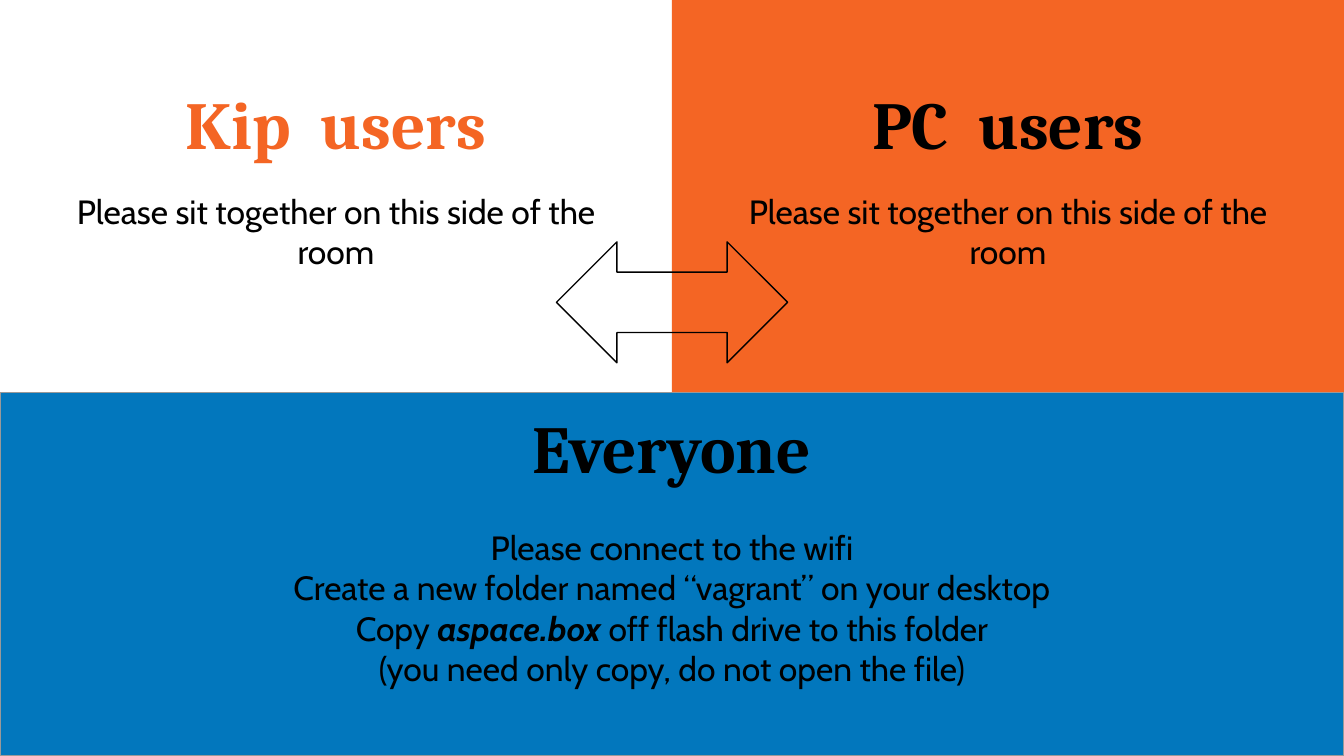
from pptx import Presentation
from pptx.dml.color import RGBColor
from pptx.enum.shapes import MSO_SHAPE
from pptx.enum.text import MSO_ANCHOR, PP_ALIGN
from pptx.util import Inches, Pt

RECT, ARROW = MSO_SHAPE.RECTANGLE, MSO_SHAPE.LEFT_RIGHT_ARROW
TOP, BOTTOM = MSO_ANCHOR.TOP, MSO_ANCHOR.BOTTOM
CENTER = PP_ALIGN.CENTER

THEME = {
    "orange": "F46524", "blue": "0277BD", "black": "000000", "gray": "999999",
    "head": ("Cambria", 36, True), "body": ("Cabin", 18, False),
    "line": 0.75, "gap": 21.6,
}
SEAT = "Please sit together on this side of the room"
SIDES = [("Kip  users", "orange"), ("PC  users", "black")]
TITLE = "Everyone"
STEPS = [
    ["Please connect to the wifi"],
    ["Create a new folder named “vagrant” on your desktop"],
    ["Copy ", "aspace.box", " off flash drive to this folder"],
    ["(you need only copy, do not open the file)"],
]
STRONG = "aspace.box"
WIDE, SPLIT = 10, 2.92
HIGH = WIDE * 9 / 16
HALF, EDGE = WIDE / 2, 0.29


def color(name):
    return RGBColor.from_string(THEME[name])


def add_form(slide, kind, box, fill=None, line=None):
    """Add a preset shape with an optional fill and outline."""
    form = slide.shapes.add_shape(kind, *map(Inches, box))
    form.shadow.inherit = False
    if fill:
        form.fill.solid()
        form.fill.fore_color.rgb = color(fill)
    else:
        form.fill.background()
    if line:
        form.line.color.rgb = color(line)
        form.line.width = Pt(THEME["line"])
    else:
        form.line.fill.background()
    return form


def set_frame(frame, anchor):
    """Give a text frame wrapping, equal insets and an anchor."""
    frame.word_wrap = True
    frame.vertical_anchor = anchor
    frame.margin_left = frame.margin_right = Inches(0.1)
    frame.margin_top = frame.margin_bottom = Inches(0.1)


def write(para, parts, style, ink="black"):
    """Fill a centred paragraph with runs in one style."""
    para.alignment = CENTER
    face, size, bold = THEME[style]
    for part in parts:
        run = para.add_run()
        run.text = part
        font = run.font
        font.name, font.size = face, Pt(size)
        font.bold = bold or part == STRONG
        font.italic = part == STRONG
        font.color.rgb = color(ink)


def add_text(slide, box, text, style, ink, anchor):
    """Add a text box with one paragraph."""
    frame = slide.shapes.add_textbox(*map(Inches, box)).text_frame
    set_frame(frame, anchor)
    write(frame.paragraphs[0], [text], style, ink)


def main():
    """Build the seating slide."""
    deck = Presentation()
    deck.slide_width, deck.slide_height = Inches(WIDE), Inches(HIGH)
    slide = deck.slides.add_slide(deck.slide_layouts[6])
    add_form(slide, RECT, (HALF, 0, HALF, HIGH), "orange")

    span = HALF - 2 * EDGE
    for i, (name, ink) in enumerate(SIDES):
        left = i * HALF + EDGE
        add_text(slide, (left, 0.48, span, 0.83), name, "head", ink, BOTTOM)
        add_text(slide, (left, 1.32, span, 1.47), SEAT, "body", "black", TOP)

    panel = add_form(slide, RECT, (0, SPLIT, WIDE, HIGH - SPLIT), "blue", "gray")
    frame = panel.text_frame
    set_frame(frame, TOP)
    write(frame.paragraphs[0], [TITLE], "head")
    for i, parts in enumerate(STEPS):
        para = frame.add_paragraph()
        if i == 0:
            para.space_before = Pt(THEME["gap"])
        write(para, parts, "body")

    width = 1.72
    add_form(slide, ARROW, (HALF - width / 2, 1.8, width, 0.9), line="black")
    deck.save("out.pptx")


if __name__ == "__main__":
    main()
